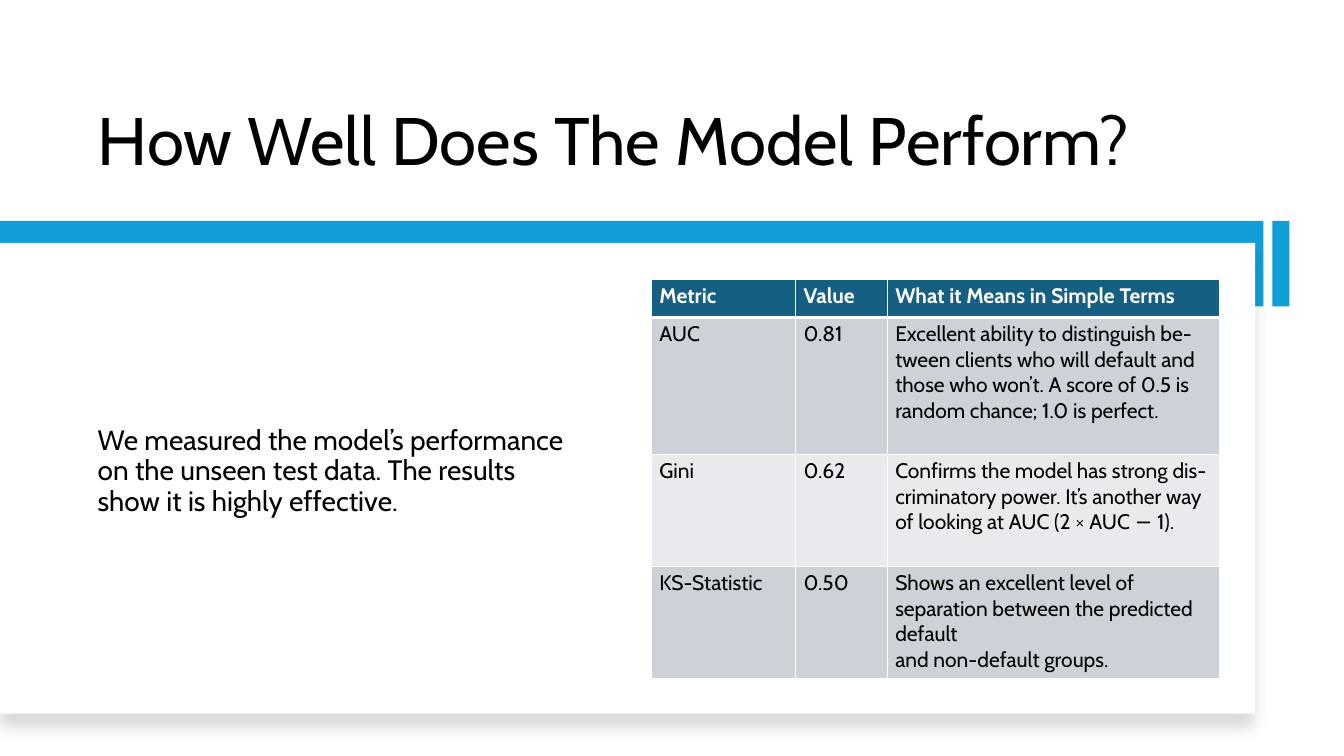
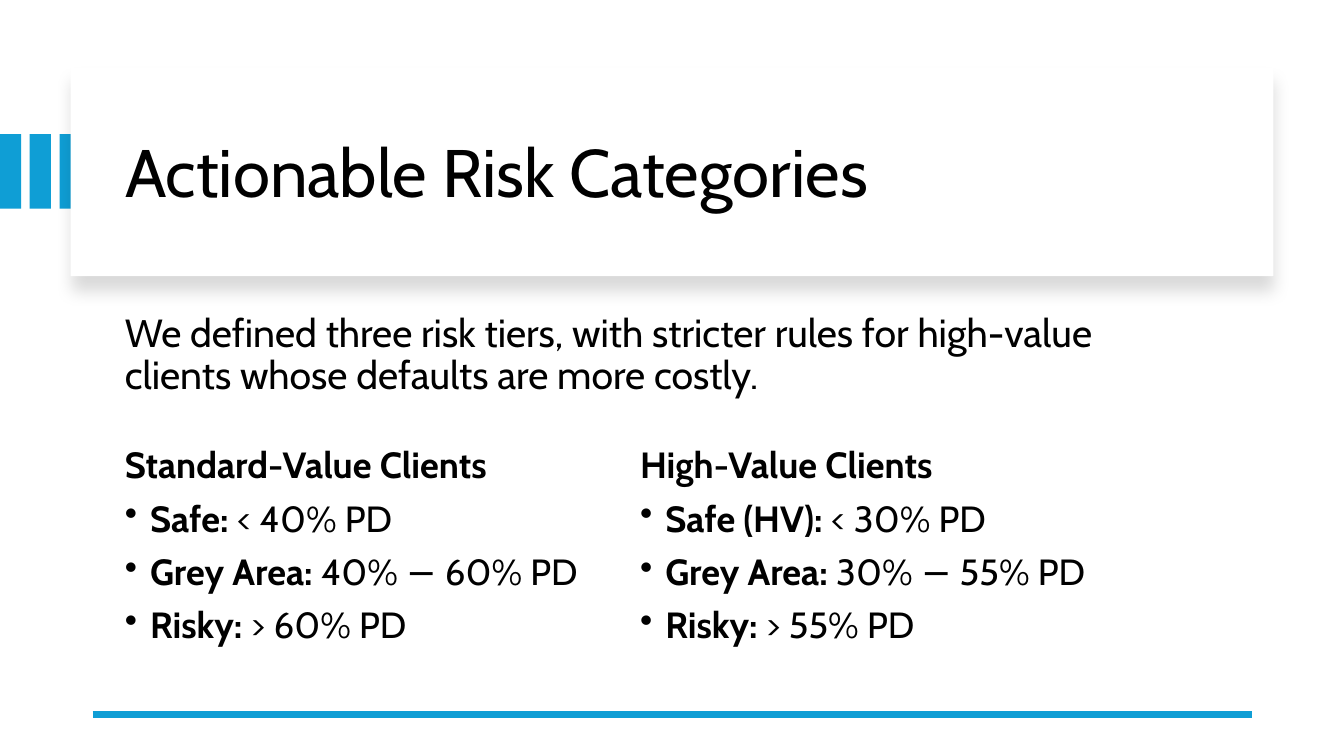
from pptx import Presentation
from pptx.dml.color import RGBColor
from pptx.enum import shapes, text
from pptx.oxml import parse_xml
from pptx.oxml.ns import nsdecls
from pptx.util import Inches, Pt

FONT = "Cabin"
BLUE = RGBColor(0x0F, 0x9E, 0xD5)
TEAL = RGBColor(0x15, 0x60, 0x82)
WHITE = RGBColor(0xFF, 0xFF, 0xFF)
BLACK = RGBColor(0, 0, 0)
BANDS = [RGBColor(0xCC, 0xD2, 0xD8), RGBColor(0xE8, 0xEA, 0xED)]

COLS = [1.43, 0.91, 3.3]
ROWS = [0.38, 1.36, 1.11, 1.11]
METRICS = [
    ("Metric", "Value", "What it Means in Simple Terms"),
    ("AUC", "0.81", "Excellent ability to distinguish be- tween clients who will "
     "default and those who won’t. A score of 0.5 is random chance; 1.0 is perfect."),
    ("Gini", "0.62", "Confirms the model has strong dis- criminatory power. "
     "It’s another way of looking at AUC (2 × AUC − 1)."),
    ("KS-Statistic", "0.50", "Shows an excellent level of separation between the "
     "predicted default\nand non-default groups."),
]
TIERS = [
    (1.14, 4.7, "Standard-Value Clients",
     [("Safe:", "< 40% PD"), ("Grey Area:", "40% − 60% PD"), ("Risky:", "> 60% PD")]),
    (6.25, 4.9, "High-Value Clients",
     [("Safe (HV):", "< 30% PD"), ("Grey Area:", "30% − 55% PD"), ("Risky:", "> 55% PD")]),
]


def apply(item, form):
    for name, value in form.items():
        setattr(item, name, value)


def place(box):
    return [Inches(n) for n in box]


# Text
def add_run(para, words, size, color=BLACK, bold=False):
    run = para.add_run()
    run.text = words
    apply(run.font, {"name": FONT, "size": Pt(size), "bold": bold})
    run.font.color.rgb = color


def set_frame(frame, anchor):
    apply(frame, {"word_wrap": True, "vertical_anchor": anchor,
                  "auto_size": text.MSO_AUTO_SIZE.NONE})


def set_para(para, before=10):
    apply(para, {"line_spacing": 0.9, "space_before": Pt(before),
                 "alignment": text.PP_ALIGN.LEFT})


def add_title(slide, words, box, anchor):
    title = slide.shapes.title
    apply(title, dict(zip(("left", "top", "width", "height"), place(box))))
    title.element.getparent().append(title.element)  # in front of the panel
    set_frame(title.text_frame, anchor)
    para = title.text_frame.paragraphs[0]
    set_para(para, 0)
    add_run(para, words, 48)


def add_text(slide, box, words, size, anchor=text.MSO_ANCHOR.TOP, bold=False):
    frame = slide.shapes.add_textbox(*place(box)).text_frame
    set_frame(frame, anchor)
    set_para(frame.paragraphs[0])
    add_run(frame.paragraphs[0], words, size, bold=bold)
    return frame


def add_bullet(frame, label, words, size):
    para = frame.add_paragraph()
    set_para(para)
    props = para._p.get_or_add_pPr()
    props.set("marL", str(Inches(0.25)))
    props.set("indent", str(-Inches(0.25)))
    props.append(parse_xml(f'<a:buChar {nsdecls("a")} char="•"/>'))
    add_run(para, label + " ", size, bold=True)
    add_run(para, words, size)


# Bands and panels
def add_rect(slide, box, color=BLUE):
    rect = slide.shapes.add_shape(shapes.MSO_SHAPE.RECTANGLE, *place(box))
    rect.shadow.inherit = False
    rect.fill.solid()
    rect.fill.fore_color.rgb = color
    rect.line.fill.background()
    return rect


def add_panel(slide, box):
    panel = add_rect(slide, box, WHITE)
    panel.element.spPr.find("{*}effectLst").append(parse_xml(
        f'<a:outerShdw {nsdecls("a")} blurRad="{Pt(11)}" dist="{Pt(10)}" '
        'dir="5400000" algn="t" rotWithShape="0"><a:srgbClr val="000000">'
        '<a:alpha val="15000"/></a:srgbClr></a:outerShdw>'))


def add_rule(slide, left, right, top):
    rule = slide.shapes.add_connector(
        shapes.MSO_CONNECTOR.STRAIGHT, *place((left, top, right, top)))
    rule.line.color.rgb = BLUE
    rule.line.width = Pt(4.5)
    rule.element.spPr.append(parse_xml(f'<a:effectLst {nsdecls("a")}/>'))


# Table
def set_edges(cell, head):
    props = cell._tc.get_or_add_tcPr()
    wide = {"T": 3 if not head and head is not None else 1, "B": 3 if head else 1}
    for i, side in enumerate("LRTB"):
        props.insert(i, parse_xml(
            f'<a:ln{side} {nsdecls("a")} w="{Pt(wide.get(side, 1))}"><a:solidFill>'
            f'<a:srgbClr val="{WHITE}"/></a:solidFill></a:ln{side}>'))


def add_grid(slide, left, top):
    box = place((left, top, sum(COLS), sum(ROWS)))
    table = slide.shapes.add_table(len(ROWS), len(COLS), *box).table
    for col, width in zip(table.columns, COLS):
        col.width = Inches(width)
    for r, values in enumerate(METRICS):
        table.rows[r].height = Inches(ROWS[r])
        head = r == 0
        for c, words in enumerate(values):
            cell = table.cell(r, c)
            apply(cell, dict(zip(("margin_left", "margin_top", "margin_right",
                                  "margin_bottom"), place((0.08, 0.04) * 2))))
            cell.fill.solid()
            cell.fill.fore_color.rgb = TEAL if head else BANDS[(r - 1) % 2]
            set_edges(cell, head if r < 2 else None)
            for i, line in enumerate(words.split("\n")):
                frame = cell.text_frame
                para = frame.add_paragraph() if i else frame.paragraphs[0]
                add_run(para, line, 15, WHITE if head else BLACK, head)


# Slides
def build_model(slide):
    add_rect(slide, (0, 2.19, 12.53, 0.85))
    add_rect(slide, (12.62, 2.19, 0.17, 0.85))
    add_panel(slide, (0, 2.41, 12.45, 4.67))
    add_title(slide, "How Well Does The Model Perform?",
              (0.87, 0.42, 11.01, 1.42), text.MSO_ANCHOR.BOTTOM)
    add_text(slide, (0.87, 2.84, 4.96, 3.68),
             "We measured the model’s performance on the unseen test data. "
             "The results show it is highly effective.", 20, text.MSO_ANCHOR.MIDDLE)
    add_grid(slide, 6.46, 2.77)


def build_risk(slide):
    for i in range(3):
        add_rect(slide, (0.59 * i / 2, 1.33, 0.21, 0.74))
    add_panel(slide, (0.7, 0.67, 11.93, 2.07))
    add_title(slide, "Actionable Risk Categories",
              (1.14, 0.89, 10.87, 1.7), text.MSO_ANCHOR.MIDDLE)
    add_text(slide, (1.14, 3.06, 10.87, 1.17),
             "We defined three risk tiers, with stricter rules for high-value "
             "clients whose defaults are more costly.", 28)
    add_rule(slide, 0.92, 12.42, 7.09)
    for left, width, name, tiers in TIERS:
        frame = add_text(slide, (left, 4.39, width, 2.34), name, 26, bold=True)
        for label, words in tiers:
            add_bullet(frame, label, words, 26)


def main():
    deck = Presentation()
    apply(deck, {"slide_width": Inches(13.33), "slide_height": Inches(7.5)})
    for build in (build_model, build_risk):
        build(deck.slides.add_slide(deck.slide_layouts[5]))
    deck.save("out.pptx")


if __name__ == "__main__":
    main()
